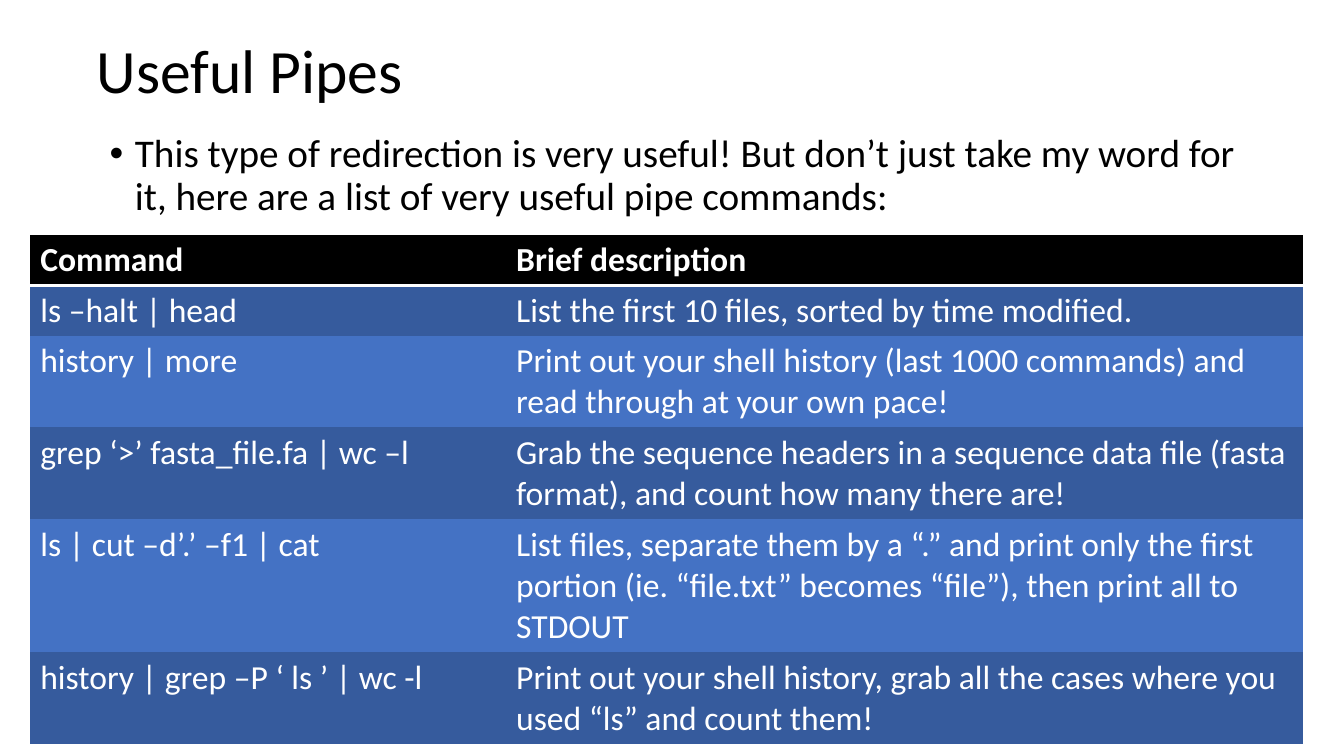
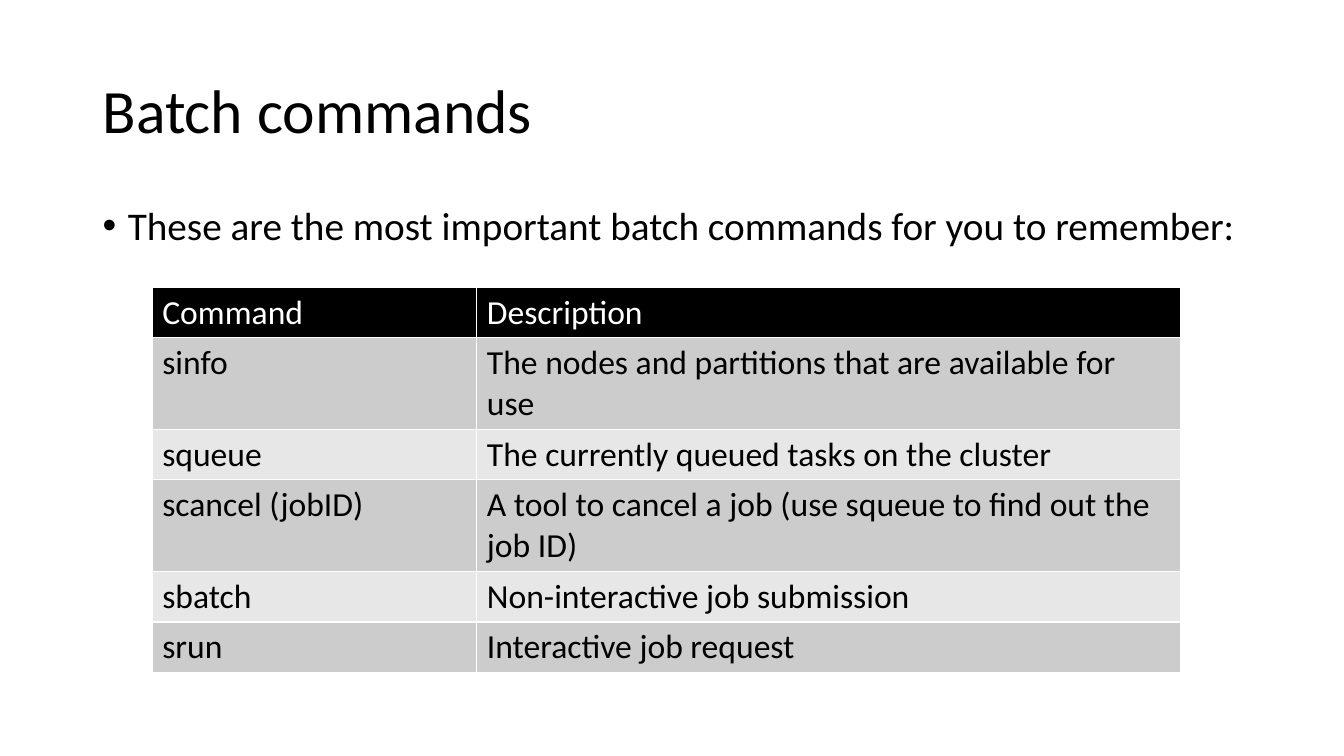
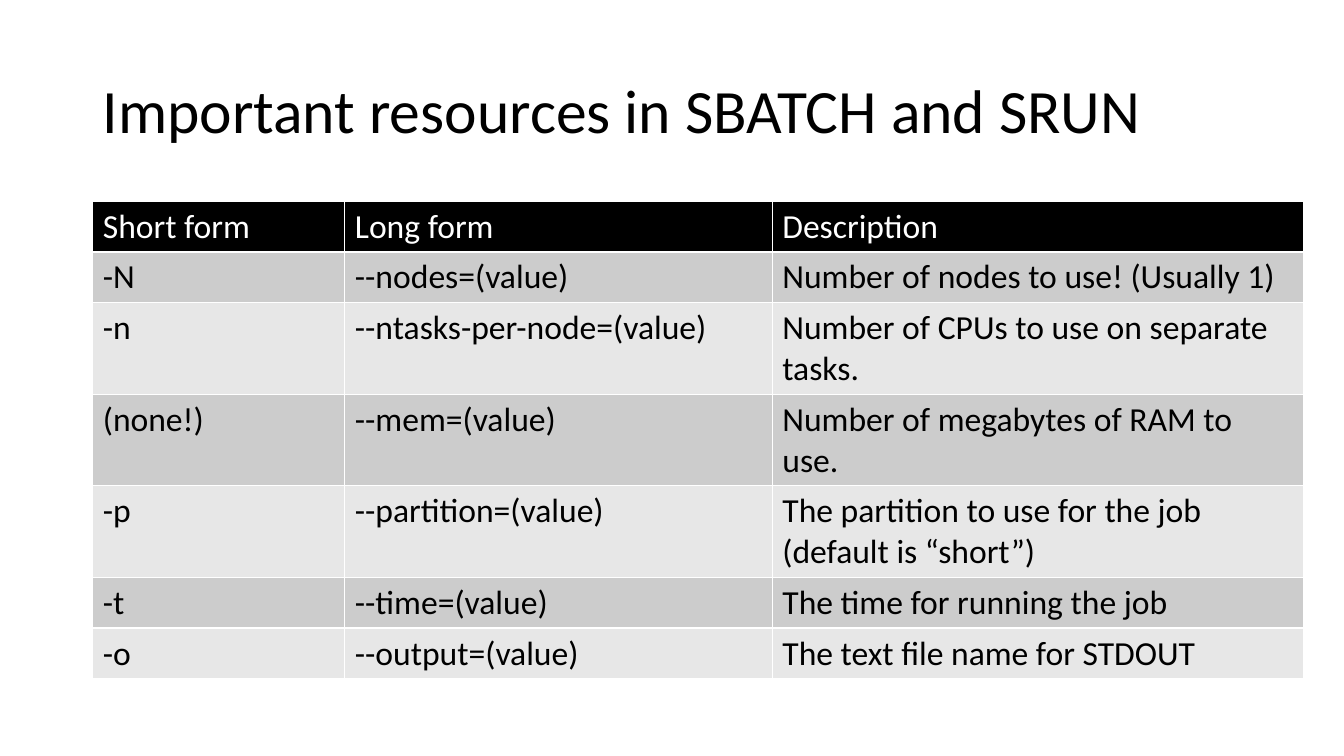
from lxml import etree
from pptx import Presentation
from pptx.dml.color import RGBColor
from pptx.enum import text
from pptx.oxml import ns
from pptx.util import Inches, Pt

FONT = "Calibri"
BLACK = RGBColor(0x00, 0x00, 0x00)
WHITE = RGBColor(0xFF, 0xFF, 0xFF)
NAVY = RGBColor(0x36, 0x5B, 0x9D)
BLUE = RGBColor(0x44, 0x72, 0xC4)
GREY = RGBColor(0xCC, 0xCC, 0xCC)
PALE = RGBColor(0xE7, 0xE7, 0xE7)
PLAIN = "{2D5ABB26-0587-4C30-8999-92F81FD0307C}"  # table style without grid
LINE = 0.41  # height of one line of table text
PAD = 0.09  # cell margins above and below, together

# Each row starts with the number of text lines it takes
pipes = [
    (1, "Command", "Brief description"),
    (1, "ls –halt | head", "List the first 10 files, sorted by time modified."),
    (2, "history | more",
     "Print out your shell history (last 1000 commands) and read through at your own pace!"),
    (2, "grep ‘>’ fasta_file.fa | wc –l",
     "Grab the sequence headers in a sequence data file (fasta format), "
     "and count how many there are!"),
    (3, "ls | cut –d’.’ –f1 | cat",
     "List files, separate them by a “.” and print only the first portion "
     "(ie. “file.txt” becomes “file”), then print all to STDOUT"),
    (2, "history | grep –P ‘ ls ’ | wc -l",
     "Print out your shell history, grab all the cases where you used “ls” and count them!"),
]
batch = [
    (1, "Command", "Description"),
    (2, "sinfo", "The nodes and partitions that are available for use"),
    (1, "squeue", "The currently queued tasks on the cluster"),
    (2, "scancel (jobID)", "A tool to cancel a job (use squeue to find out the job ID)"),
    (1, "sbatch", "Non-interactive job submission"),
    (1, "srun", "Interactive job request"),
]
flags = [
    (1, "Short form", "Long form", "Description"),
    (1, "-N", "--nodes=(value)", "Number of nodes to use! (Usually 1)"),
    (2, "-n", "--ntasks-per-node=(value)", "Number of CPUs to use on separate tasks."),
    (2, "(none!)", "--mem=(value)", "Number of megabytes of RAM to use."),
    (2, "-p", "--partition=(value)", "The partition to use for the job (default is “short”)"),
    (1, "-t", "--time=(value)", "The time for running the job"),
    (1, "-o", "--output=(value)", "The text file name for STDOUT"),
]

grey = dict(bands=(GREY, PALE), ink=BLACK, bold=False, sides="LRTB", width=1)
blue = dict(bands=(NAVY, BLUE), ink=WHITE, bold=True, sides="B", width=2)

pages = [
    dict(title="Useful Pipes", spot=(0.86, 0), body=(0.99, 1.28),
         point="This type of redirection is very useful! But don’t just take my word "
               "for it, here are a list of very useful pipe commands:",
         rows=pipes, at=(0.3, 2.33), cols=(4.72, 7.9), look=blue),
    dict(title="Batch commands", spot=(0.92, 0.4), body=(0.92, 2),
         point="These are the most important batch commands for you to remember:",
         rows=batch, at=(1.51, 2.85), cols=(3.22, 6.98), look=grey),
    dict(title="Important resources in SBATCH and SRUN", spot=(0.92, 0.4), point=None,
         rows=flags, at=(0.92, 2), cols=(2.5, 4.24, 5.27), look=grey),
]


def style(para, size, color, bold=False):
    font = para.runs[0].font
    font.name, font.size, font.bold = FONT, Pt(size), bold
    font.color.rgb = color


def add_text(slide, words, spot, high, size):
    box = slide.shapes.add_textbox(*map(Inches, (*spot, 11.5, high)))
    box.text_frame.word_wrap = True
    para = box.text_frame.paragraphs[0]
    para.text = words
    para.line_spacing = 0.9
    style(para, size, BLACK)
    return box.text_frame


deck = Presentation()
deck.slide_width, deck.slide_height = Inches(13.33), Inches(7.5)

for page in pages:
    slide = deck.slides.add_slide(deck.slide_layouts[6])

    # Title
    frame = add_text(slide, page["title"], page["spot"], 1.45, 44)
    frame.vertical_anchor = text.MSO_ANCHOR.MIDDLE

    # Bullet point
    if page["point"]:
        para = add_text(slide, page["point"], page["body"], 4.76, 28).paragraphs[0]
        para.space_before = Pt(10)
        props = para._p.get_or_add_pPr()
        props.set("marL", str(Inches(0.25)))
        props.set("indent", str(-Inches(0.25)))
        etree.SubElement(props, ns.qn("a:buFont"), typeface="Arial")
        etree.SubElement(props, ns.qn("a:buChar"), char="•")

    # Table grid
    rows, cols, look = page["rows"], page["cols"], page["look"]
    highs = [row[0] * LINE + PAD for row in rows]
    size = sum(cols), sum(highs)
    shape = slide.shapes.add_table(len(rows), len(cols), *map(Inches, (*page["at"], *size)))
    table = shape.table
    next(shape.element.iter(ns.qn("a:tableStyleId"))).text = PLAIN
    for col, wide in zip(table.columns, cols):
        col.width = Inches(wide)
    for row, high in zip(table.rows, highs):
        row.height = Inches(high)

    # Table cells
    for r, (_, *words) in enumerate(rows):
        head = r == 0
        for c, word in enumerate(words):
            cell = table.cell(r, c)
            cell.text = word
            style(cell.text_frame.paragraphs[0], 24,
                  WHITE if head else look["ink"], head and look["bold"])
            cell.fill.solid()
            cell.fill.fore_color.rgb = BLACK if head else look["bands"][(r - 1) % 2]
            if head or look is grey:
                props = cell._tc.get_or_add_tcPr()
                for i, side in enumerate(look["sides"]):
                    edge = etree.Element(ns.qn("a:ln" + side), w=str(Pt(look["width"])))
                    fill = etree.SubElement(edge, ns.qn("a:solidFill"))
                    etree.SubElement(fill, ns.qn("a:srgbClr"), val=str(WHITE))
                    props.insert(i, edge)

deck.save("out.pptx")
